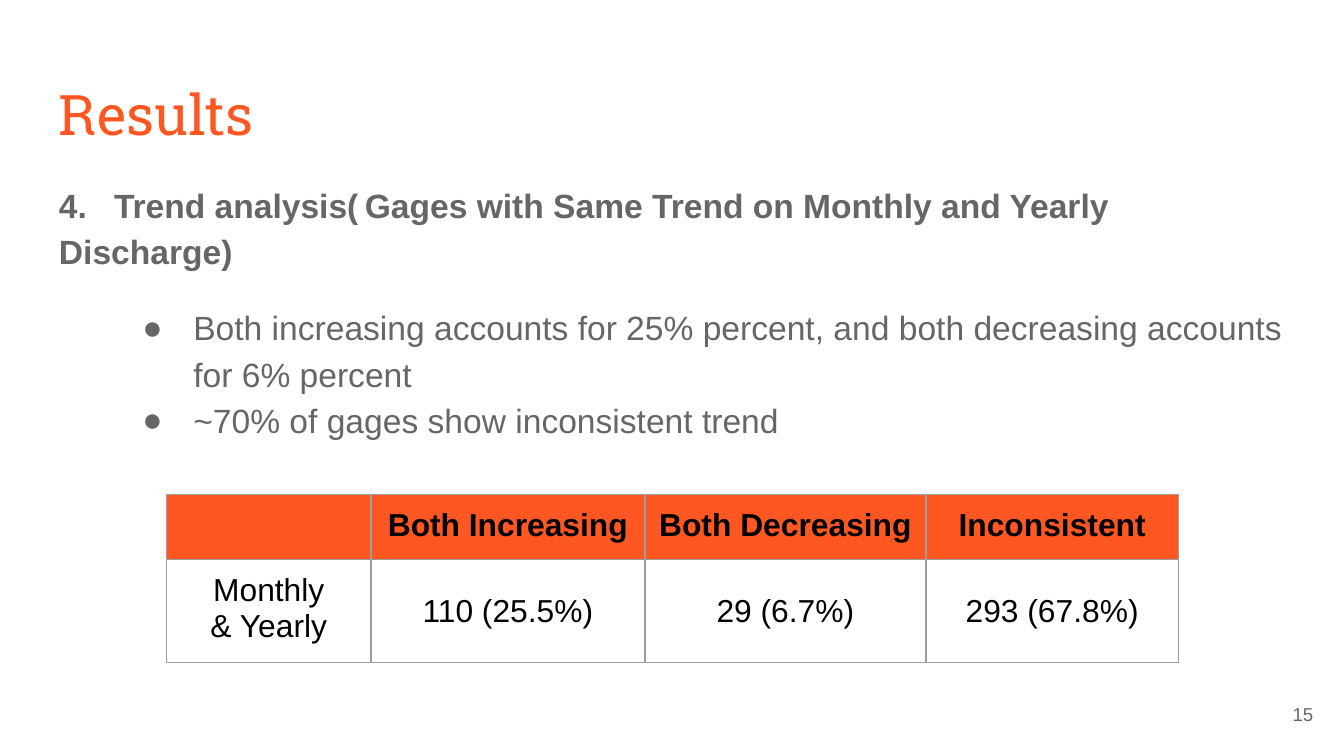
from lxml import etree
from pptx import Presentation
from pptx.dml.color import RGBColor
from pptx.enum.text import MSO_ANCHOR, PP_ALIGN
from pptx.oxml.ns import qn
from pptx.util import Inches, Pt

MIDDLE, TOP = MSO_ANCHOR.MIDDLE, MSO_ANCHOR.TOP
CENTER, RIGHT = PP_ALIGN.CENTER, PP_ALIGN.RIGHT

# Content
TITLE = "Results"
HEAD = [
    ("4.\tTrend analysis(", "body", "gray"),
    (" ", "gap", "black"),
    ("Gages with Same Trend on Monthly and Yearly Discharge)", "body", "gray"),
]
POINTS = [
    "Both increasing accounts for 25% percent, and both decreasing accounts for 6% percent",
    "~70% of gages show inconsistent trend",
]
ROWS = [
    ["", "Both Increasing", "Both Decreasing", "Inconsistent"],
    ["Monthly\n& Yearly", "110 (25.5%)", "29 (6.7%)", "293 (67.8%)"],
]
PAGE = "15"

# Layout in inches, on a 16:9 slide
WIDE = 10
HIGH = WIDE * 9 / 16
COLS = [1.52, 2.04, 2.09, 1.88]
HEIGHTS = [0.4, 0.64]
PAD = 0.1

THEME = {
    "color": {"orange": "FF5722", "gray": "666666", "black": "000000", "line": "9E9E9E"},
    "size": {"title": 30, "body": 18, "cell": 17, "gap": 12, "page": 10},
    "head": "Roboto Slab",
    "text": "Arial",
}


def color(name):
    return RGBColor.from_string(THEME["color"][name])


def style(font, size, tone, face="text", bold=False):
    font.name = THEME[face]
    font.size = Pt(THEME["size"][size])
    font.color.rgb = color(tone)
    font.bold = bold


def add(parent, tag, **attrs):
    return etree.SubElement(parent, qn(tag), {k: str(v) for k, v in attrs.items()})


def pad(item):
    item.margin_left = item.margin_right = Inches(PAD)
    item.margin_top = item.margin_bottom = Inches(PAD)


def add_box(slide, left, top, width, height, anchor=TOP):
    box = slide.shapes.add_textbox(Inches(left), Inches(top), Inches(width), Inches(height))
    frame = box.text_frame
    frame.word_wrap = True
    frame.vertical_anchor = anchor
    pad(frame)
    return frame


def add_bullet(para):
    props = para._p.get_or_add_pPr()
    props.set("marL", str(Inches(1)))
    props.set("indent", str(Inches(-0.38)))
    tint = add(props, "a:buClr")
    add(tint, "a:srgbClr", val=THEME["color"]["gray"])
    add(props, "a:buFont", typeface=THEME["text"])
    add(props, "a:buChar", char="●")


def add_border(cell):
    props = cell._tc.get_or_add_tcPr()
    for at, side in enumerate(("a:lnL", "a:lnR", "a:lnT", "a:lnB")):
        line = etree.Element(qn(side), {"w": str(Pt(0.75))})
        fill = add(line, "a:solidFill")
        add(fill, "a:srgbClr", val=THEME["color"]["line"])
        props.insert(at, line)


def add_grid(slide):
    shape = slide.shapes.add_table(len(ROWS), len(COLS), Inches(1.24), Inches(3.68),
                                   Inches(sum(COLS)), Inches(sum(HEIGHTS)))
    table = shape.table
    table.horz_banding = False
    for col, width in zip(table.columns, COLS):
        col.width = Inches(width)
    for r, (row, height) in enumerate(zip(ROWS, HEIGHTS)):
        table.rows[r].height = Inches(height)
        for c, text in enumerate(row):
            cell = table.cell(r, c)
            if r == 0:
                cell.fill.solid()
                cell.fill.fore_color.rgb = color("orange")
            else:
                cell.fill.background()
            add_border(cell)
            if not text:
                continue
            pad(cell)
            cell.vertical_anchor = MIDDLE if r and c else TOP
            cell.text_frame.text = text
            for para in cell.text_frame.paragraphs:
                para.alignment = CENTER
                style(para.font, "cell", "black", bold=r == 0)


def main():
    prs = Presentation()
    prs.slide_width, prs.slide_height = Inches(WIDE), Inches(HIGH)
    slide = prs.slides.add_slide(prs.slide_layouts[6])

    # Title
    para = add_box(slide, 0.34, 0.49, 9.32, 0.63).paragraphs[0]
    para.text = TITLE
    style(para.font, "title", "orange", face="head")

    # Heading with a tab after its number
    body = add_box(slide, 0.34, 1.23, 9.32, 3.76)
    para = body.paragraphs[0]
    para.line_spacing = 1.15
    tabs = add(para._p.get_or_add_pPr(), "a:tabLst")
    add(tabs, "a:tab", pos=Inches(0.41), algn="l")
    for text, size, tone in HEAD:
        run = para.add_run()
        run.text = text
        style(run.font, size, tone, bold=True)

    # Bullet points
    for i, text in enumerate(POINTS):
        para = body.add_paragraph()
        para.text = text
        para.line_spacing = 1.15
        para.space_before = Pt(0 if i else 16)
        add_bullet(para)
        style(para.font, "body", "gray")

    add_grid(slide)

    # Page number
    para = add_box(slide, 9.27, 5.1, 0.6, 0.43, MIDDLE).paragraphs[0]
    para.text = PAGE
    para.alignment = RIGHT
    style(para.font, "page", "gray")

    prs.save("out.pptx")


if __name__ == "__main__":
    main()
